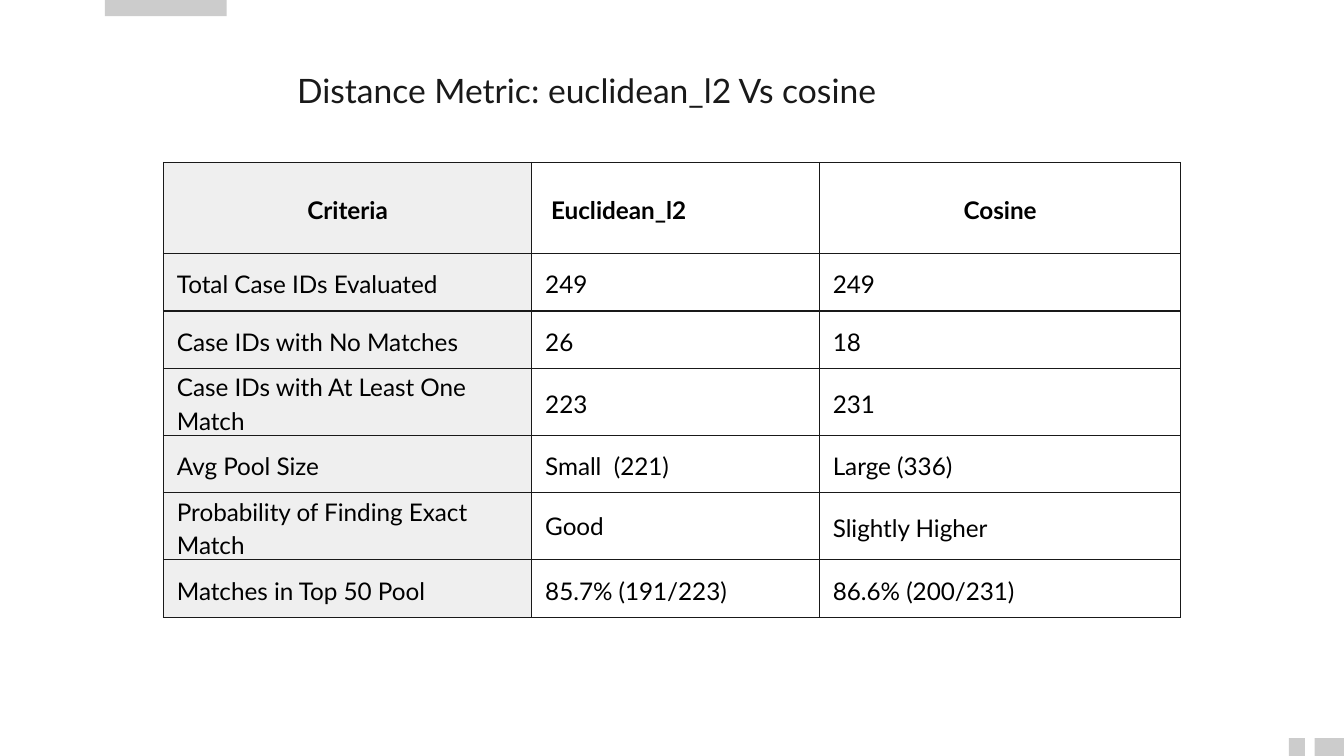
from lxml.etree import SubElement
from pptx import Presentation
from pptx.dml.color import RGBColor
from pptx.enum.shapes import MSO_SHAPE
from pptx.enum.text import MSO_ANCHOR, PP_ALIGN
from pptx.oxml.ns import qn
from pptx.util import Pt

HUES = {"ink": "191919", "text": "000000", "head": "EFEFEF", "cell": "FFFFFF", "bar": "CCCCCC"}
COLS = [197.3, 154.1, 193.6]
TOP, LOW, TALL = 48.8, 30.8, 35.9
ROWS = [
    (TOP, "Criteria", "Euclidean_l2", "Cosine"),
    (LOW, "Total Case IDs Evaluated", "249", "249"),
    (LOW, "Case IDs with No Matches", "26", "18"),
    (TALL, "Case IDs with At Least One Match", "223", "231"),
    (LOW, "Avg Pool Size", "Small  (221)", "Large (336)"),
    (TALL, "Probability of Finding Exact Match", "Good", "Slightly Higher"),
    (LOW, "Matches in Top 50 Pool", "85.7% (191/223)", "86.6% (200/231)"),
]


def shade(name):
    return RGBColor.from_string(HUES[name])


def write(frame, text, size=13, hue="text", bold=False, align=PP_ALIGN.LEFT, lead=1.15):
    para = frame.paragraphs[0]
    para.alignment = align
    para.line_spacing = lead
    run = para.add_run()
    run.text = text
    font = run.font
    font.name, font.size, font.bold = "Lato", Pt(size), bold
    font.color.rgb = shade(hue)


def add_bars(slide, left, top, width, height):
    right, base = left + width, top + height
    for x, y, w in [(left + 56.2, top, 65.2), (right - 29.5, base - 9.5, 8.6), (right - 15.8, base - 9.5, 15.8)]:
        bar = slide.shapes.add_shape(MSO_SHAPE.RECTANGLE, Pt(x), Pt(y), Pt(w), Pt(9.5 if y else 8.7))
        bar.shadow.inherit = False
        bar.fill.solid()
        bar.fill.fore_color.rgb = shade("bar")
        bar.line.fill.background()


def add_title(slide, left, top, width, height):
    title = slide.shapes.title
    title.left, title.top, title.width, title.height = Pt(left), Pt(top), Pt(width), Pt(height)
    frame = title.text_frame
    frame.word_wrap = True
    frame.vertical_anchor = MSO_ANCHOR.TOP
    frame.margin_left = frame.margin_right = frame.margin_top = frame.margin_bottom = Pt(7.2)
    write(frame, "Distance Metric: euclidean_l2 Vs cosine", size=18, hue="ink", lead=1)


def add_edges(cell):
    props = cell._tc.get_or_add_tcPr()
    for spot, side in enumerate(("lnL", "lnR", "lnT", "lnB")):
        line = props.makeelement(qn(f"a:{side}"), {"w": str(Pt(0.75))})
        fill = SubElement(line, qn("a:solidFill"))
        SubElement(fill, qn("a:srgbClr"), val=HUES["ink"])
        props.insert(spot, line)


def add_grid(slide, left, top):
    width, height = sum(COLS), sum(row[0] for row in ROWS)
    table = slide.shapes.add_table(len(ROWS), len(COLS), Pt(left), Pt(top), Pt(width), Pt(height)).table
    for col, size in zip(table.columns, COLS):
        col.width = Pt(size)
    for r, (size, *texts) in enumerate(ROWS):
        table.rows[r].height = Pt(size)
        for c, text in enumerate(texts):
            cell = table.cell(r, c)
            cell.fill.solid()
            cell.fill.fore_color.rgb = shade("cell" if c else "head")
            cell.vertical_anchor = MSO_ANCHOR.MIDDLE
            cell.margin_left = Pt(10.4 if (r, c) == (0, 1) else 7.2)
            cell.margin_right = Pt(7.2)
            cell.margin_top = cell.margin_bottom = 0
            align = PP_ALIGN.CENTER if r == 0 and c != 1 else PP_ALIGN.LEFT
            write(cell.text_frame, text, bold=r == 0, align=align, lead=1 if text == "Good" else 1.15)
            add_edges(cell)


def main():
    deck = Presentation()
    deck.slide_width, deck.slide_height = Pt(720), Pt(405)
    slide = deck.slides.add_slide(deck.slide_layouts[5])
    add_bars(slide, 0, 0, 720, 405)
    add_title(slide, 152, 30.3, 436.3, 45.4)
    add_grid(slide, 87.6, 87)
    deck.save("out.pptx")


if __name__ == "__main__":
    main()
